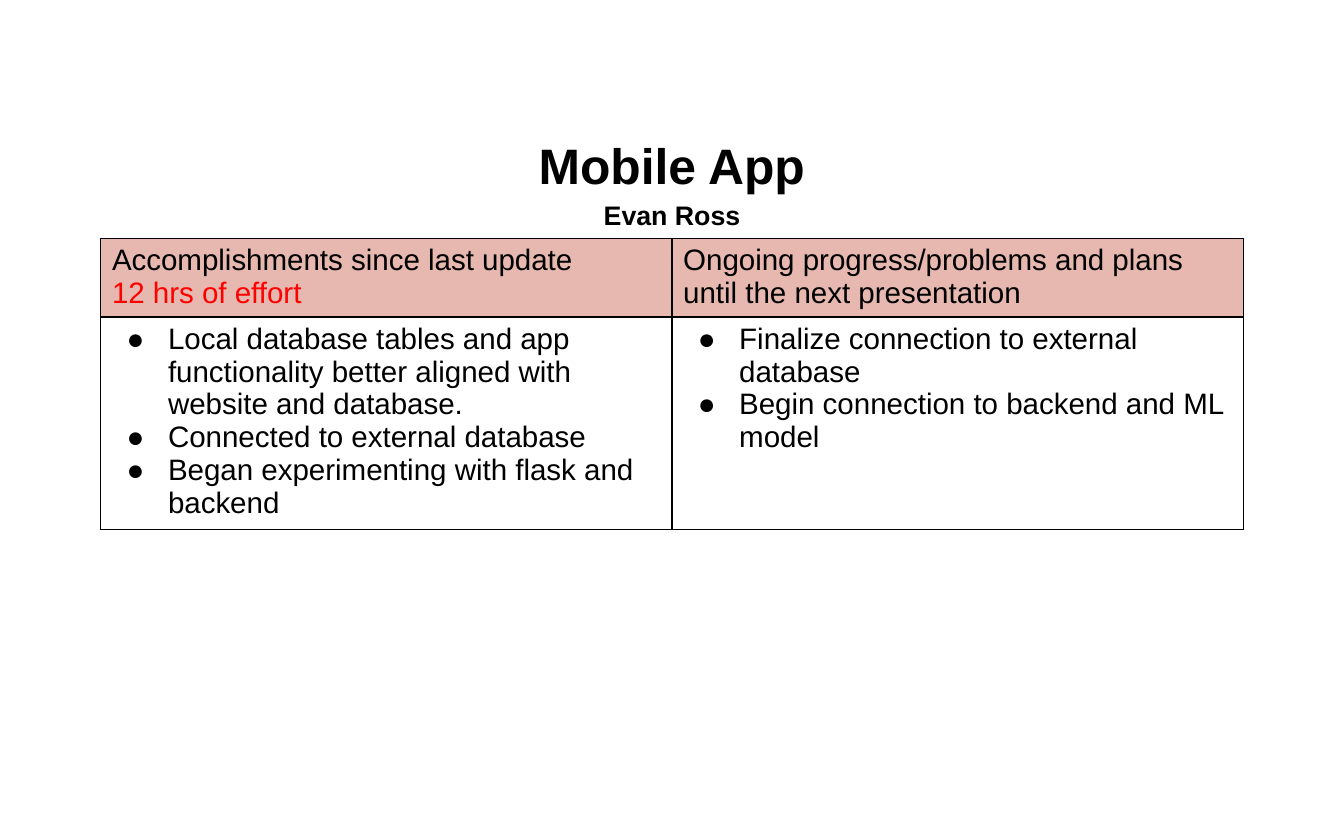
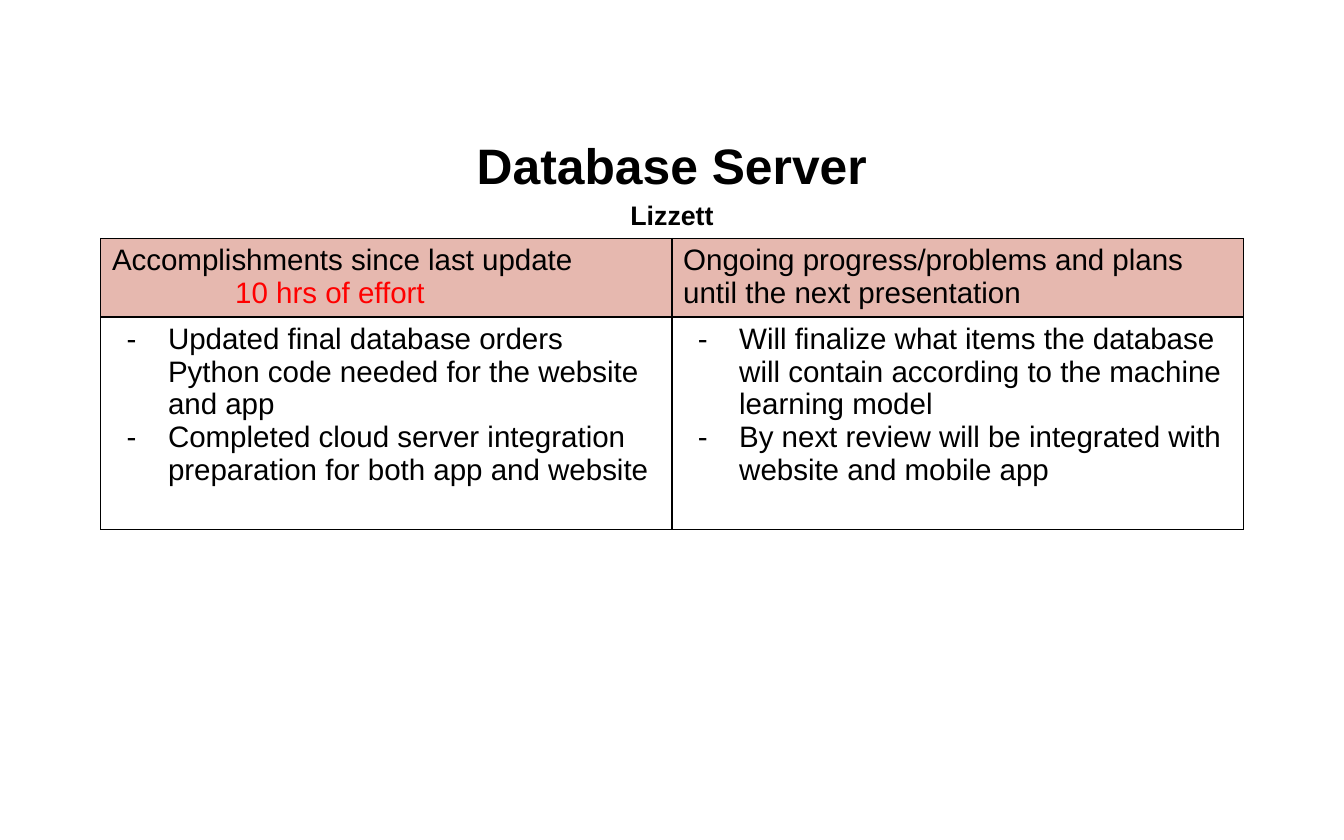
from lxml import etree
from pptx import Presentation
from pptx import util as u
from pptx.dml.color import RGBColor
from pptx.enum import text
from pptx.oxml import ns

BLACK = RGBColor(0, 0, 0)
RED = RGBColor(0xFF, 0, 0)
ROSE = RGBColor(0xE6, 0xB8, 0xAF)
FONT = "Arial"
TABLE_SIZE = 19
WIDTH, HEIGHT = u.Inches(12), u.Inches(7.5)
TITLE_BOX = [u.Inches(n) for n in (0.6, 1.15, 10.8, 0.88)]
TABLE_BOX = [u.Inches(n) for n in (0.9, 2.13, 10.2, 2.6)]
HEADER_SHARE = 0.7 / 2.6
PLANS_HEADING = "Ongoing progress/problems and plans until the next presentation"


def add_child(parent, tag, **attributes):
    child = etree.SubElement(parent, ns.qn(tag))
    for name, value in attributes.items():
        child.set(name, str(value))
    return child


def write(frame, words, first=False, size=TABLE_SIZE, color=BLACK, bold=False,
          align=None, spacing=None, left=0, hanging=0, bullet=None):
    para = frame.paragraphs[0] if first else frame.add_paragraph()
    para.alignment = align
    para.line_spacing = spacing
    if left:
        properties = para._p.get_or_add_pPr()
        properties.set("marL", str(u.Inches(left)))
        properties.set("indent", str(-u.Inches(hanging)))
        if bullet:
            add_child(add_child(properties, "a:buClr"), "a:srgbClr", val=BLACK)
            add_child(properties, "a:buFont", typeface=FONT)
            add_child(properties, "a:buChar", char=bullet)
    span = para.add_run()
    span.text = words
    span.font.name = FONT
    span.font.size = u.Pt(size)
    span.font.bold = bold
    span.font.color.rgb = color


def draw_borders(cell):
    properties = cell._tc.get_or_add_tcPr()
    for order, side in enumerate(("a:lnL", "a:lnR", "a:lnT", "a:lnB")):
        line = add_child(properties, side, w=u.Pt(1))
        add_child(add_child(line, "a:solidFill"), "a:srgbClr", val=BLACK)
        properties.insert(order, line)


def fill_title(title, box, topic, member):
    title.left, title.top, title.width, title.height = box
    frame = title.text_frame
    frame.vertical_anchor = text.MSO_ANCHOR.MIDDLE
    frame.auto_size = text.MSO_AUTO_SIZE.NONE
    style = dict(bold=True, align=text.PP_ALIGN.CENTER, spacing=1.15)
    write(frame, topic, first=True, size=32, **style)
    write(frame, member, size=17.2, **style)


def add_progress_table(page, box, effort, effort_left, bullet, done, plans):
    table = page.shapes.add_table(2, 2, *box).table
    table.first_row = table.horz_banding = False
    table.rows[0].height = round(box[3] * HEADER_SHARE)
    table.rows[1].height = box[3] - table.rows[0].height
    for cell in table.iter_cells():
        cell.fill.background()
        draw_borders(cell)
    for column, heading in enumerate(("Accomplishments since last update", PLANS_HEADING)):
        header = table.cell(0, column)
        header.fill.solid()
        header.fill.fore_color.rgb = ROSE
        write(header.text_frame, heading, first=True)
    write(table.cell(0, 0).text_frame, effort, color=RED, left=effort_left)
    for column, items in enumerate((done, plans)):
        frame = table.cell(1, column).text_frame
        for index, item in enumerate(items):
            write(frame, item, first=index == 0, left=0.5, hanging=0.37, bullet=bullet)


def add_update_page(deck, topic, member, **progress):
    page = deck.slides.add_slide(deck.slide_layouts[5])
    fill_title(page.shapes.title, TITLE_BOX, topic, member)
    add_progress_table(page, TABLE_BOX, **progress)


def main():
    deck = Presentation()
    deck.slide_width, deck.slide_height = WIDTH, HEIGHT
    add_update_page(
        deck, "Mobile App", "Evan Ross",
        effort="12 hrs of effort", effort_left=0, bullet="●",
        done=["Local database tables and app functionality better aligned with "
              "website and database.",
              "Connected to external database",
              "Began experimenting with flask and backend"],
        plans=["Finalize connection to external database",
               "Begin connection to backend and ML model"])
    add_update_page(
        deck, "Database Server", "Lizzett",
        effort="10 hrs of effort", effort_left=1.1, bullet="-",
        done=["Updated final database orders Python code needed for the website and app",
              "Completed cloud server integration preparation for both app and website"],
        plans=["Will finalize what items the database will contain according to "
               "the machine learning model",
               "By next review will be integrated with website and mobile app"])
    deck.save("out.pptx")


if __name__ == "__main__":
    main()
